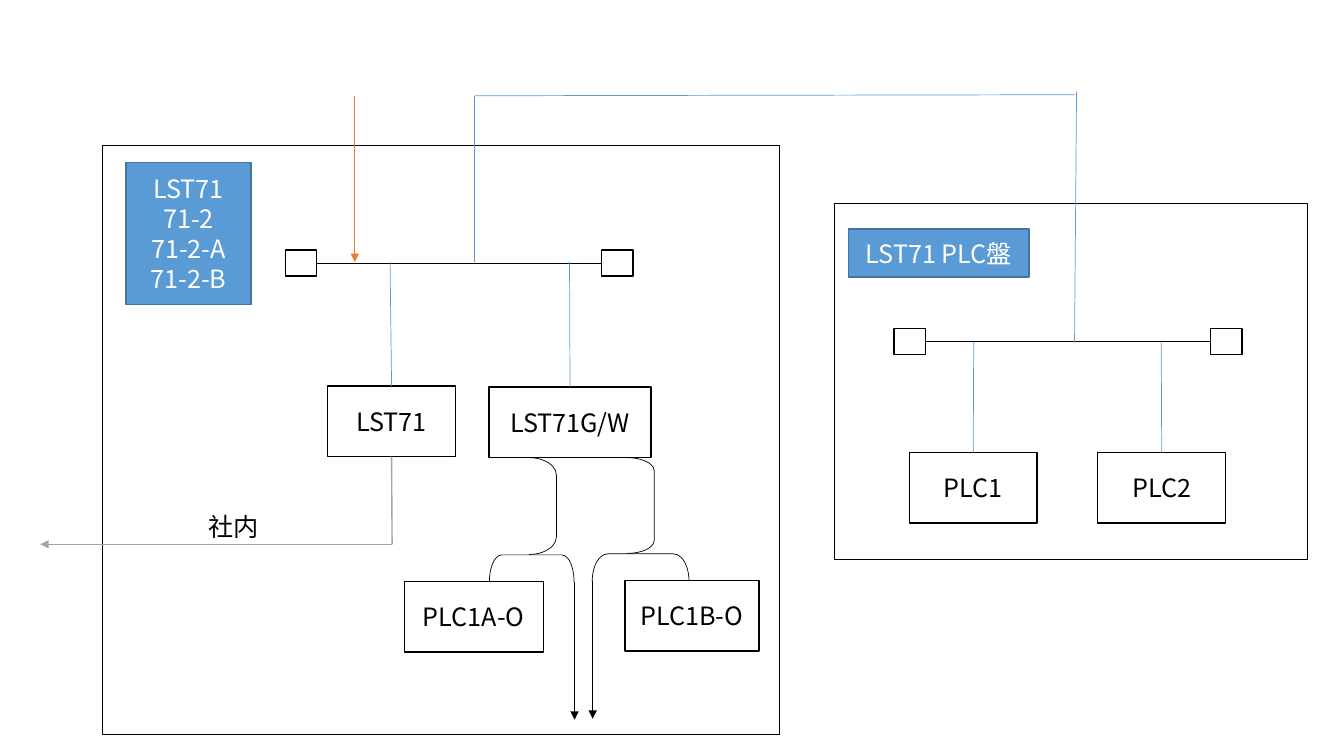
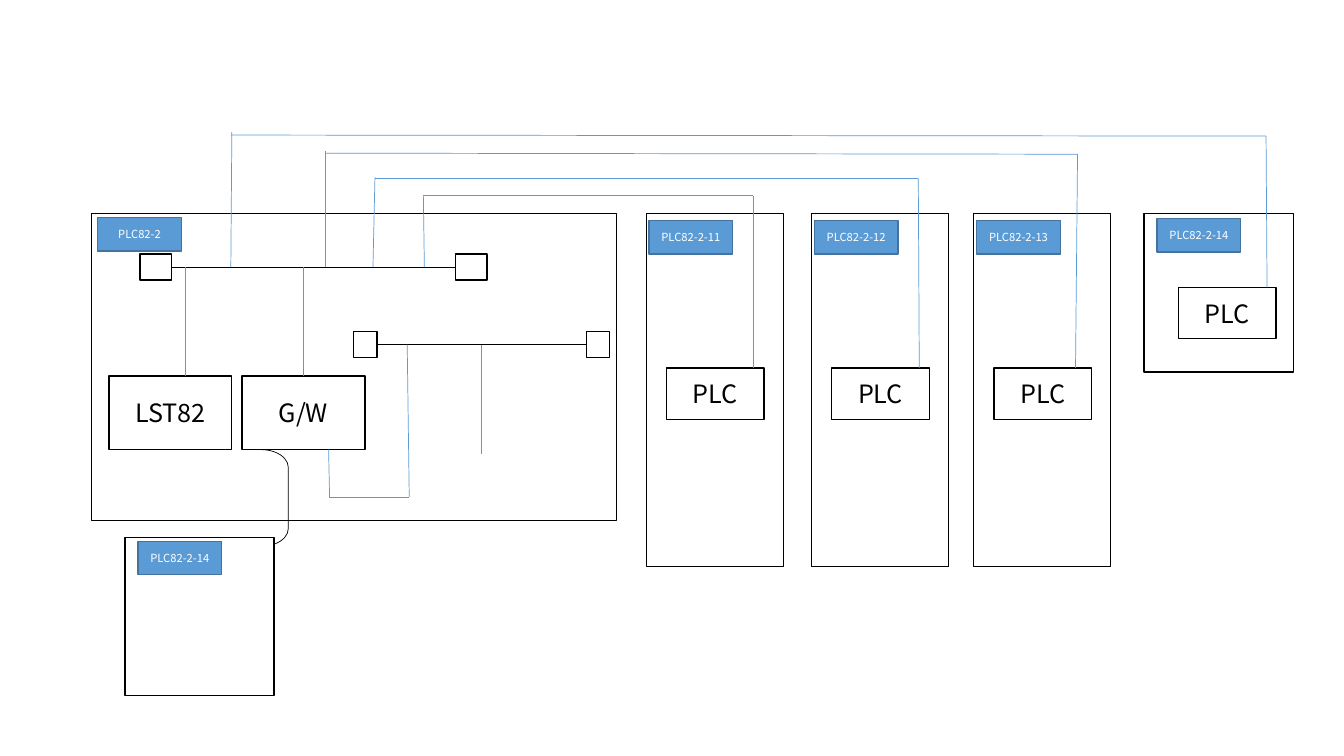
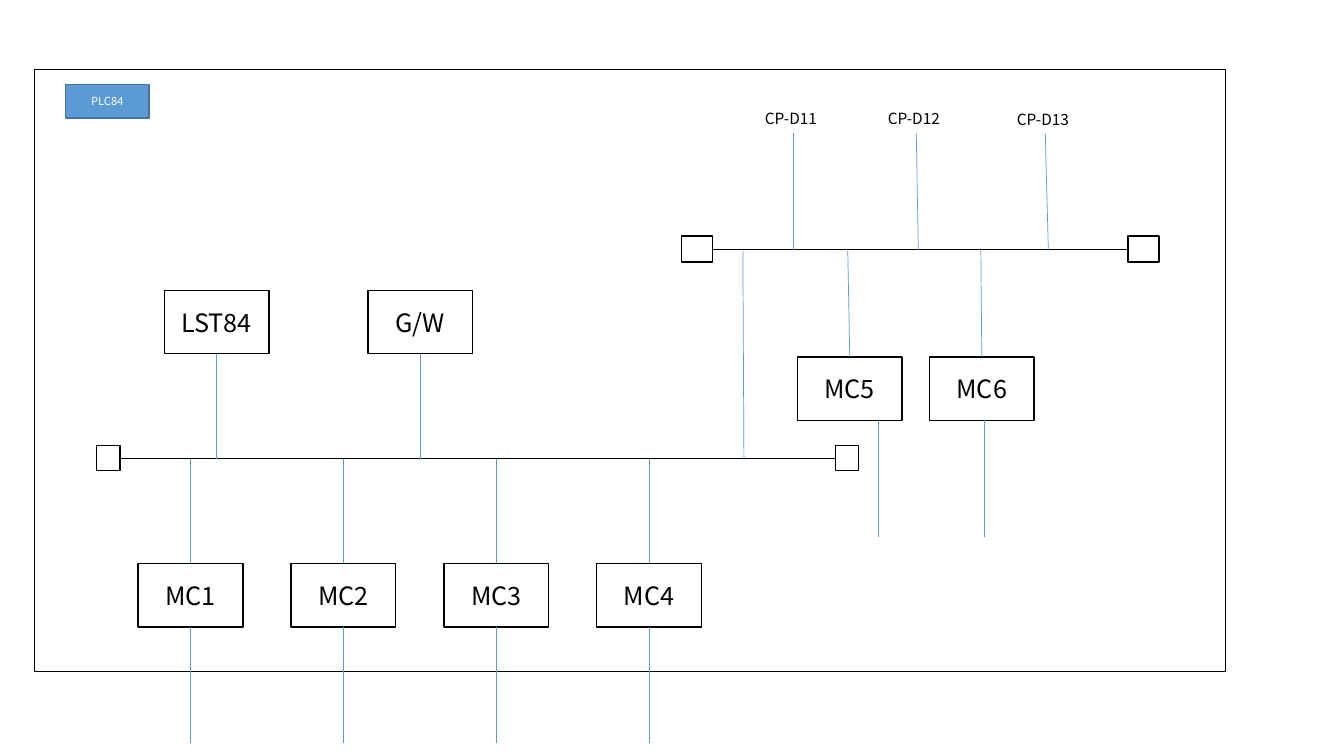
from lxml import etree
from pptx import Presentation
from pptx import util as u
from pptx.dml import color
from pptx.enum import shapes, text
from pptx.oxml import ns

CELL = u.Inches(0.1)  # every length below counts cells of a square grid
COLUMNS, ROWS = 133.33, 75
FONT = "Noto Sans CJK JP"
COLOURS = {"blue": "5B9BD5", "navy": "43739E", "orange": "ED7D31",
           "grey": "A5A5A5", "black": "000000", "white": "FFFFFF"}
# style: fill, outline, outline width, text colour
STYLES = {"node": ("white", "black", 1, "black"),
          "tag": ("blue", "navy", 1, "white"),
          "panel": (None, "black", 0.75, "black"),
          "cable": (None, "black", 0.5, "black"),
          "caption": (None, None, 0, "black")}
BRACKET = shapes.MSO_SHAPE.LEFT_BRACKET
TOP, LEFT, BOTTOM, RIGHT = range(4)


def box(slide, style, at, label="", size=18, kind=shapes.MSO_SHAPE.RECTANGLE):
    """Add a styled shape, or a plain text box for a caption."""
    fill, outline, width, ink = STYLES[style]
    frame = [round(length * CELL) for length in at]
    if style == "caption":
        shape = slide.shapes.add_textbox(*frame)
    else:
        shape = slide.shapes.add_shape(kind, *frame)
        shape.shadow.inherit = False
        shape.line.color.rgb = color.RGBColor.from_string(COLOURS[outline])
        shape.line.width = u.Pt(width)
        if fill:
            shape.fill.solid()
            shape.fill.fore_color.rgb = color.RGBColor.from_string(COLOURS[fill])
        else:
            shape.fill.background()
    if label:
        shape.text_frame.word_wrap = True
        shape.text_frame.text = label
        for paragraph in shape.text_frame.paragraphs:
            if style != "caption":
                paragraph.alignment = text.PP_ALIGN.CENTER
            for run in paragraph.runs:
                run.font.name = FONT
                run.font.size = u.Pt(size)
                run.font.color.rgb = color.RGBColor.from_string(COLOURS[ink])
                east_asian = etree.SubElement(run.font._element, ns.qn("a:ea"))
                east_asian.set("typeface", FONT)
    return shape


def wire(slide, start, end, colour="blue", arrow=False):
    """Draw a line; each end is a point (x, y) or a joint (shape, side)."""
    ends = [start, end]
    points = [(0, 0) if hasattr(e[0], "shape_id") else e for e in ends]
    connector = slide.shapes.add_connector(
        shapes.MSO_CONNECTOR.STRAIGHT,
        *[round(length * CELL) for point in points for length in point])
    for joint, connect in zip(ends, (connector.begin_connect, connector.end_connect)):
        if hasattr(joint[0], "shape_id"):
            connect(*joint)
    connector.line.color.rgb = color.RGBColor.from_string(COLOURS[colour])
    connector.line.width = u.Pt(0.5)
    if arrow:
        etree.SubElement(connector.line._get_or_add_ln(), ns.qn("a:tailEnd")).set("type", "triangle")
    etree.SubElement(connector._element.spPr, ns.qn("a:effectLst"))
    return connector


presentation = Presentation()
presentation.slide_width = round(COLUMNS * CELL)
presentation.slide_height = round(ROWS * CELL)
blank = presentation.slide_layouts[6]
lst71, lst82, lst84 = [presentation.slides.add_slide(blank) for _ in range(3)]

# Buses: a line between two terminators (left edges, top, width, height)
for slide, left, right, top, width, height in [
        (lst71, 28.3, 59.7, 24.8, 3.1, 2.6), (lst71, 88.7, 120.1, 32.6, 3.1, 2.6),
        (lst82, 13.9, 45.2, 25.2, 3.1, 2.6), (lst82, 35.1, 58.2, 32.9, 2.3, 2.6),
        (lst84, 67.6, 111.9, 23.4, 3.1, 2.6), (lst84, 9.6, 82.9, 44.2, 2.3, 2.5)]:
    first, last = [box(slide, "node", (x, top, width, height)) for x in (left, right)]
    wire(slide, (first, RIGHT), (last, LEFT), "black")

# Slide 1: LST71
box(lst71, "panel", (10.2, 14.4, 67.1, 58.5))
box(lst71, "panel", (82.8, 20.2, 46.9, 35.3))
box(lst71, "tag", (12.5, 16.1, 12.4, 14.1), "LST71\n71-2\n71-2-A\n71-2-B")
box(lst71, "tag", (84.2, 22.7, 17.9, 4.8), "LST71 PLC盤")

units = {}
for label, x, y, width, tap in [
        ("LST71", 32.5, 38.3, 12.7, (38.7, 26)), ("LST71G/W", 48.5, 38.4, 16.1, (56.5, 26)),
        ("PLC1", 90.2, 44.9, 12.7, (96.6, 33.9)), ("PLC2", 108.9, 44.9, 12.7, (115.2, 34)),
        ("PLC1A-O", 40.1, 57.7, 13.8, None), ("PLC1B-O", 62, 57.6, 13.3, None)]:
    units[label] = box(lst71, "node", (x, y, width, 7), label)
    if tap:
        wire(lst71, tap, (units[label], TOP))

for slide, at, rotation, curve in [
        (lst71, (62.2, 45.4, 2.7, 9.5), 180, 0.48), (lst71, (62.2, 51.5, 2.7, 9.6), 90, 0.57),
        (lst71, (52.5, 45.4, 2.7, 9.6), 180, 0.65), (lst71, (51.4, 52.2, 2.7, 8.4), 90, 0.45),
        (lst82, (25.9, 44.6, 2.7, 9.6), 180, 0.65)]:
    cable = box(slide, "cable", at, kind=BRACKET)
    cable.rotation = rotation
    cable.adjustments[0] = curve

for x, y in [(58.8, 57.6), (57, 57.7)]:
    wire(lst71, (x, y), (x, y + 13.7), "black", arrow=True)
drop = wire(lst71, (units["LST71"], BOTTOM), (38.9, 54), "grey")
drop.line.width = u.Pt(1)
wire(lst71, (38.9, 54), (4, 54), "grey", arrow=True)
wire(lst71, (35.2, 9.5), (35.2, 26), "orange", arrow=True)
wire(lst71, (47.1, 9.5), (47.1, 26))
wire(lst71, (106.8, 9.1), (106.6, 34))
wire(lst71, (106.6, 9.4), (47.1, 9.5))
box(lst71, "caption", (19.7, 50.2, 13.7, 4), "社内")

# Slide 2: PLC82
box(lst82, "panel", (9.1, 21.2, 52.1, 30.4))
for x in (64.1, 80.5, 96.6):
    box(lst82, "panel", (x, 21.2, 13.6, 35))
    box(lst82, "node", (x + 2, 36.5, 9.7, 5.1), "PLC")
for x, y in [(113.5, 21.2), (12.4, 53.3)]:
    box(lst82, "node", (x, y, 14.8, 15.7))
box(lst82, "node", (116.9, 28.5, 9.7, 5.1), "PLC")
box(lst82, "node", (10.8, 37.3, 12.2, 7.3), "LST82")
gateway = box(lst82, "node", (24, 37.3, 12.2, 7.3), "G/W")
wire(lst82, (18.4, 26.5), (18.4, 37.3))
wire(lst82, (30.1, 26.5), (gateway, TOP))

# Each link rises from the bus, runs across and drops to its PLC
for rise, foot, crossing, drop_top, drop_foot, level in [
        ((23, 13.1), 22.9, (22.9, 13.4), (125.6, 13.5), 125.7, 28.5),
        ((32.3, 15), 32.3, (32.3, 15.2), (106.9, 15.3), 106.7, 36.5),
        ((37.2, 17.6), 37, (37.2, 17.7), (91.1, 17.7), 91.2, 36.5),
        ((42, 19.4), 42.1, (42, 19.4), (74.7, 19.4), 74.7, 36.5)]:
    wire(lst82, rise, (foot, 26.5))
    wire(lst82, drop_top, crossing)
    wire(lst82, drop_top, (drop_foot, level))
for start, end in [((32.6, 44.6), (32.7, 49.3)), ((40.6, 49.3), (32.6, 49.3)),
                   ((40.4, 34.2), (40.6, 49.3)), ((47.8, 34.2), (47.8, 45))]:
    wire(lst82, start, end)

for slide, label, x, y in [
        (lst82, "PLC82-2", 9.7, 21.6), (lst82, "PLC82-2-11", 64.4, 21.9),
        (lst82, "PLC82-2-12", 80.8, 21.9), (lst82, "PLC82-2-13", 96.9, 21.9),
        (lst82, "PLC82-2-14", 114.8, 21.7), (lst82, "PLC82-2-14", 13.7, 53.7),
        (lst84, "PLC84", 6.5, 8.4)]:
    box(slide, "tag", (x, y, 8.3, 3.3), label, 8)

# Slide 3: PLC84
box(lst84, "panel", (3.4, 6.9, 118.2, 59.7))
for label, x, y, side, tap in [
        ("LST84", 16.3, 28.8, BOTTOM, (21.5, 45.5)), ("G/W", 36.5, 28.8, BOTTOM, (41.7, 45.5)),
        ("MC5", 79.1, 35.4, TOP, (84.1, 24.7)), ("MC6", 92.2, 35.4, TOP, (97.3, 24.6))]:
    unit = box(lst84, "node", (x, y, 10.4, 6.3), label)
    wire(lst84, (unit, side), tap)
for index in range(4):
    x = 13.7 + index * 15.17
    controller = box(lst84, "node", (x, 55.9, 10.4, 6.3), f"MC{index + 1}")
    wire(lst84, (controller, TOP), (x + 5.2, 45.5))
    wire(lst84, (x + 5.2, 73.7), (controller, BOTTOM))
for x in (87.1, 97.7):
    wire(lst84, (x, 53.3), (x, 41.7))
wire(lst84, (73.8, 45.5), (73.7, 24.7))
for label, x, y, foot, head in [("CP-D11", 74.9, 10.3, 78.7, 78.7),
                                ("CP-D12", 87.1, 10.3, 91.1, 90.9),
                                ("CP-D13", 99.9, 10.4, 104, 103.7)]:
    box(lst84, "caption", (x, y, 7.6, 2.9), label, 11)
    wire(lst84, (foot, 24.8), (head, 13.2))

presentation.save("out.pptx")
